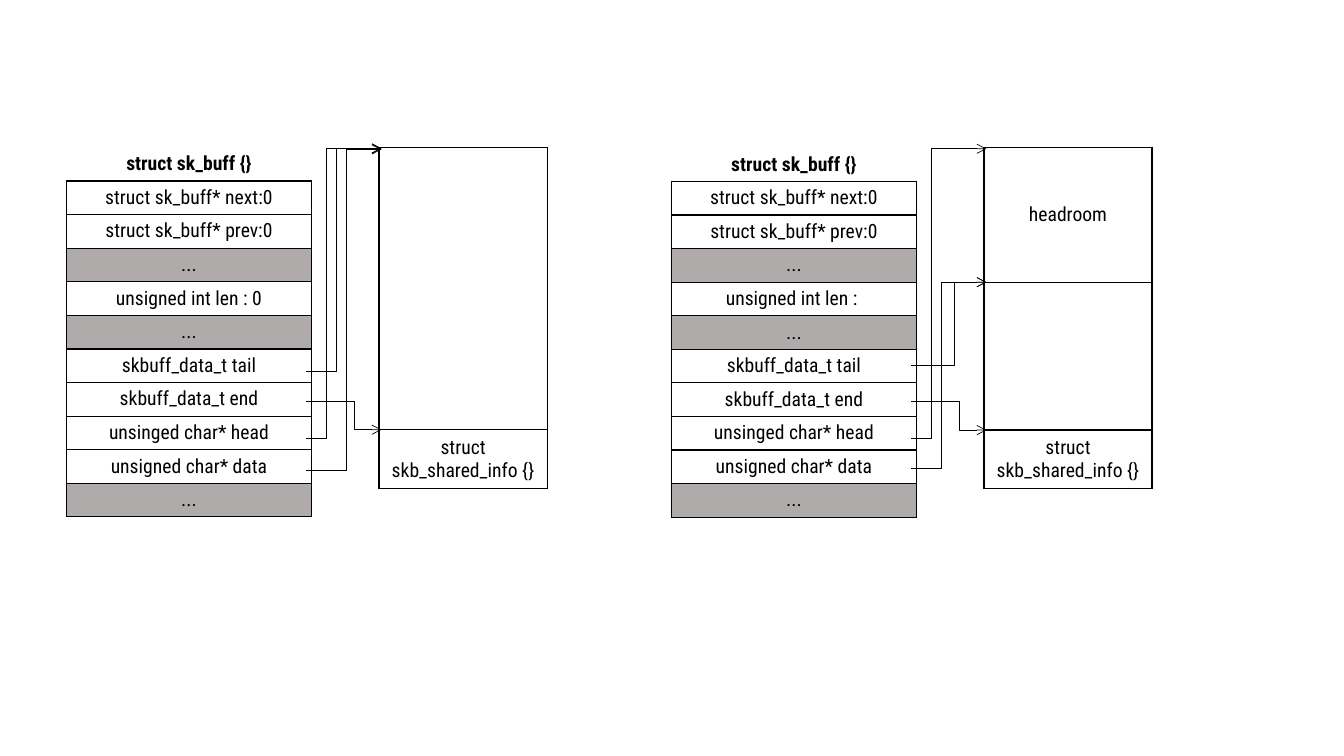
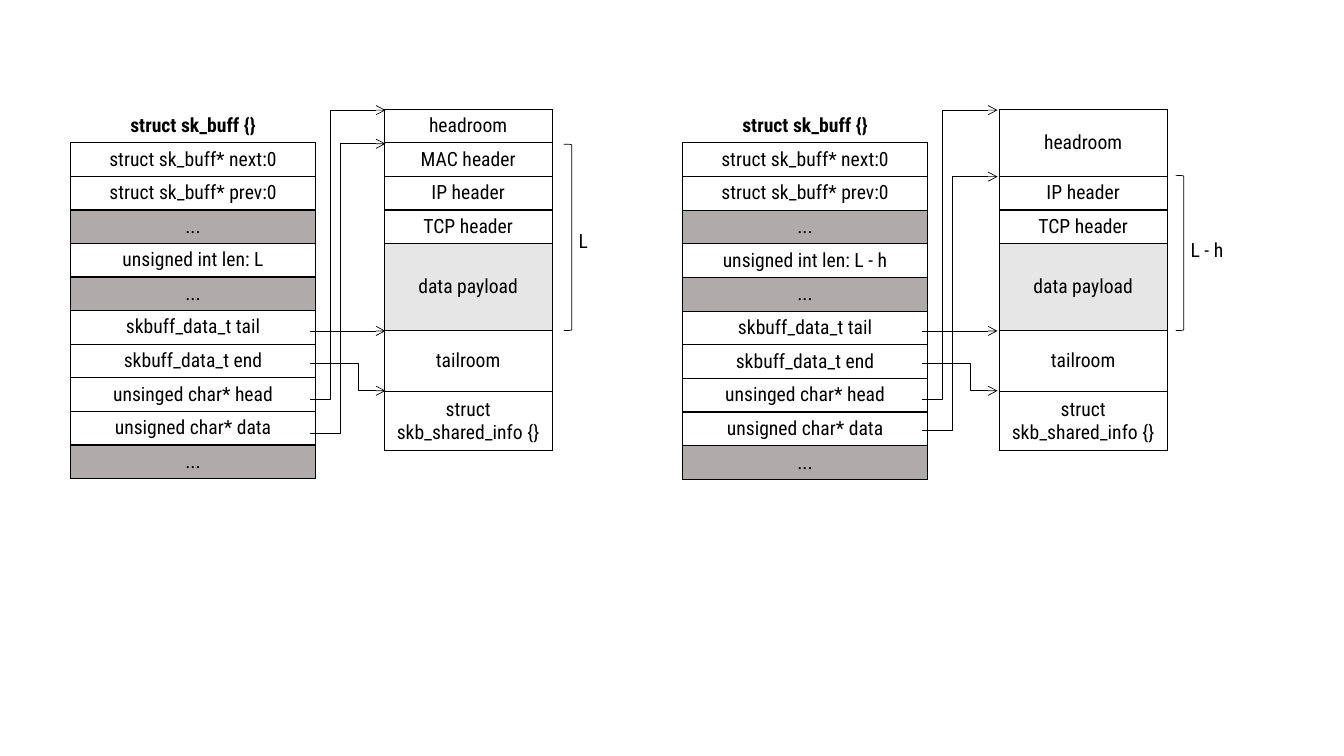
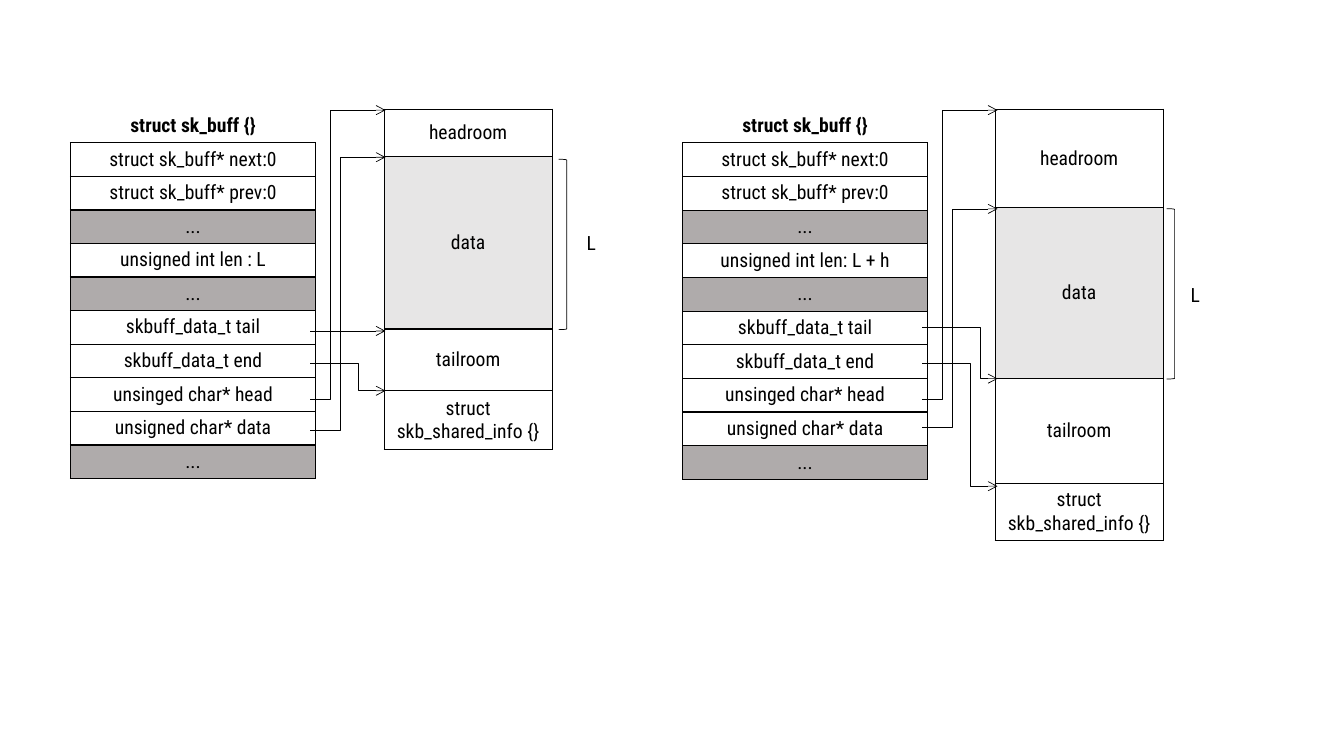
from dataclasses import dataclass

from lxml import etree
from pptx import Presentation
from pptx import util as u
from pptx.dml import color
from pptx.enum import shapes, text
from pptx.oxml import ns

COLUMNS = 40
SLIDE_WIDTH = u.Inches(13.33)
SLIDE_HEIGHT = u.Inches(7.5)
UNIT = u.Inches(1 / 3)

FONT = "Roboto Condensed"
FONT_SIZE = 14
BLACK = "000000"
SKIPPED = "AFABAB"
PAYLOAD = "E7E6E6"
TABLE_LINE = 1
THIN_LINE = 0.5

BUFFER_WIDTH = 7.29
MEMORY_WIDTH = 5
POINTER_LEFT = 7.13
POINTER_WIDTH = 2.24
BRACKET_WIDTH = 0.24
LABEL_HEIGHT = 1
HEAD_ROW = 8.65
END_ROW = 7.55
HEAD_BEND = 0.27
DATA_BEND = 0.4
END_BEND = 0.64
SHARED_INFO = "struct skb_shared_info {}"


@dataclass
class Pointer:
    row: float
    target: float
    bend: float = 0


@dataclass
class Bracket:
    left: float
    top: float
    height: float
    label: str
    label_left: float
    label_top: float
    label_width: float = 1.23


@dataclass
class Panel:
    left: float
    top: float
    length: str
    memory_offset: float
    blocks: list
    pointers: list
    bracket: Bracket = None


def grid(*amounts):
    return [round(amount * UNIT) for amount in amounts]


def rgb(value):
    return color.RGBColor.from_string(value)


def style_text(text_frame, bold=False, align=text.PP_ALIGN.CENTER):
    for paragraph in text_frame.paragraphs:
        paragraph.alignment = align
        for run in paragraph.runs:
            run.font.name = FONT
            run.font.size = u.Pt(FONT_SIZE)
            run.font.bold = bold
            run.font.color.rgb = rgb(BLACK)


def style_line(line, width):
    line.color.rgb = rgb(BLACK)
    line.width = u.Pt(width)


def add_border(cell, side, visible):
    properties = cell._tc.get_or_add_tcPr()
    border = etree.SubElement(properties, ns.qn(f"a:ln{side}"), w=str(u.Pt(TABLE_LINE)))
    if visible:
        fill = etree.SubElement(border, ns.qn("a:solidFill"))
        etree.SubElement(fill, ns.qn("a:srgbClr"), val=BLACK)
    else:
        etree.SubElement(border, ns.qn("a:noFill"))


def fill_cell(cell, words, fill=None, heading=False):
    for side in "LRTB":
        add_border(cell, side, side == "B" or not heading)
    if fill:
        cell.fill.solid()
        cell.fill.fore_color.rgb = rgb(fill)
    else:
        cell.fill.background()
    cell.text_frame.text = words
    style_text(cell.text_frame, bold=heading)


def add_stack(slide, left, top, width, heights):
    frame = slide.shapes.add_table(len(heights), 1, *grid(left, top, width, sum(heights)))
    table = frame.table
    table.first_row = False
    table.horz_banding = False
    for row, height in zip(table.rows, heights):
        row.height = grid(height)[0]
    return table


def add_buffer(slide, panel):
    fields = [
        "struct sk_buff {}", "struct sk_buff* next:0", "struct sk_buff* prev:0", "...",
        panel.length, "...", "skbuff_data_t tail", "skbuff_data_t end",
        "unsinged char* head", "unsigned char* data", "...",
    ]
    table = add_stack(slide, panel.left, panel.top, BUFFER_WIDTH, [1] * len(fields))
    for index, field in enumerate(fields):
        fill = SKIPPED if field == "..." else None
        fill_cell(table.cell(index, 0), field, fill, heading=index == 0)


def add_memory(slide, panel):
    heights = [height for _, height in panel.blocks]
    table = add_stack(slide, panel.left + panel.memory_offset, panel.top, MEMORY_WIDTH, heights)
    for index, (name, _) in enumerate(panel.blocks):
        cell = table.cell(index, 0)
        fill_cell(cell, name, PAYLOAD if name.startswith("data") else None)
        cell.vertical_anchor = text.MSO_ANCHOR.MIDDLE


def add_pointer(slide, panel, pointer):
    kind = shapes.MSO_CONNECTOR.ELBOW if pointer.bend else shapes.MSO_CONNECTOR.STRAIGHT
    left = panel.left + POINTER_LEFT
    connector = slide.shapes.add_connector(kind, *grid(
        left, panel.top + pointer.row, left + POINTER_WIDTH, panel.top + pointer.target))
    style_line(connector.line, THIN_LINE)
    properties = connector._element.spPr
    if pointer.bend:
        geometry = properties.find(ns.qn("a:prstGeom"))
        guides = geometry.find(ns.qn("a:avLst"))
        if guides is None:
            guides = etree.SubElement(geometry, ns.qn("a:avLst"))
        etree.SubElement(guides, ns.qn("a:gd"), name="adj1",
                         fmla=f"val {round(pointer.bend * 100000)}")
    etree.SubElement(properties.find(ns.qn("a:ln")), ns.qn("a:tailEnd"), type="arrow")
    etree.SubElement(properties, ns.qn("a:effectLst"))


def add_bracket(slide, bracket):
    shape = slide.shapes.add_shape(shapes.MSO_SHAPE.RIGHT_BRACKET, *grid(
        bracket.left, bracket.top, BRACKET_WIDTH, bracket.height))
    shape.shadow.inherit = False
    shape.fill.background()
    style_line(shape.line, THIN_LINE)
    label = slide.shapes.add_textbox(*grid(
        bracket.label_left, bracket.label_top, bracket.label_width, LABEL_HEIGHT))
    label.text_frame.word_wrap = True
    label.text_frame.auto_size = text.MSO_AUTO_SIZE.SHAPE_TO_FIT_TEXT
    label.text_frame.text = bracket.label
    style_text(label.text_frame, align=text.PP_ALIGN.LEFT)


def add_panel(slide, panel):
    add_buffer(slide, panel)
    add_memory(slide, panel)
    for pointer in panel.pointers:
        add_pointer(slide, panel, pointer)
    if panel.bracket:
        add_bracket(slide, panel.bracket)


def allocation_panels():
    end = Pointer(END_ROW, 8.4, END_BEND)
    head = Pointer(HEAD_ROW, 0.03, HEAD_BEND)
    return [
        Panel(1.98, 4.39, "unsigned int len : 0", 9.3,
              [("", 8.4), (SHARED_INFO, 1.75)],
              [head, Pointer(6.65, 0.03, DATA_BEND), end, Pointer(9.62, 0.06, 0.54)]),
        Panel(19.98, 4.4, "unsigned int len : ", 9.3,
              [("headroom", 4), ("", 4.4), (SHARED_INFO, 1.75)],
              [head, Pointer(9.54, 4, DATA_BEND), end, Pointer(6.48, 4, 0.57)]),
    ]


def header_panels():
    head = Pointer(HEAD_ROW, 0.03, HEAD_BEND)
    tail = Pointer(6.6, 6.6)
    end = Pointer(END_ROW, 8.38, END_BEND)
    lower_blocks = [("IP header", 1), ("TCP header", 1), ("data payload", 2.58),
                    ("tailroom", 1.83), (SHARED_INFO, 1.75)]
    return [
        Panel(2.1, 3.25, "unsigned int len: L", 9.33,
              [("headroom", 1), ("MAC header", 1)] + lower_blocks,
              [head, Pointer(9.64, 1.03, DATA_BEND), end, tail],
              Bracket(16.77, 4.29, 5.55, "L", 16.92, 6.66)),
        Panel(20.31, 3.25, "unsigned int len: L - h", 9.42,
              [("headroom", 2)] + lower_blocks,
              [head, Pointer(9.56, 2.01, DATA_BEND), end, tail],
              Bracket(34.98, 5.22, 4.62, "L - h", 35.13, 6.93, 1.65)),
    ]


def data_panels():
    head = Pointer(HEAD_ROW, 0.03, HEAD_BEND)
    return [
        Panel(2.1, 3.25, "unsigned int len : L", 9.33,
              [("headroom", 1.41), ("data", 5.13), ("tailroom", 1.84), (SHARED_INFO, 1.75)],
              [head, Pointer(9.56, 1.43, DATA_BEND), Pointer(END_ROW, 8.38, END_BEND),
               Pointer(6.6, 6.6)],
              Bracket(16.62, 4.74, 5.07, "L", 17.16, 6.72)),
        Panel(20.31, 3.25, "unsigned int len: L + h", 9.3,
              [("headroom", 2.93), ("data", 5.09), ("tailroom", 3.11), (SHARED_INFO, 1.7)],
              [head, Pointer(9.48, 2.97, DATA_BEND), Pointer(END_ROW, 11.22, END_BEND),
               Pointer(6.48, 8.02, 0.77)],
              Bracket(34.71, 6.21, 5.07, "L", 35.13, 8.28)),
    ]


def main():
    presentation = Presentation()
    presentation.slide_width = SLIDE_WIDTH
    presentation.slide_height = SLIDE_HEIGHT
    for panels in (allocation_panels(), header_panels(), data_panels()):
        slide = presentation.slides.add_slide(presentation.slide_layouts[6])
        for panel in panels:
            add_panel(slide, panel)
    presentation.save("out.pptx")


main()
